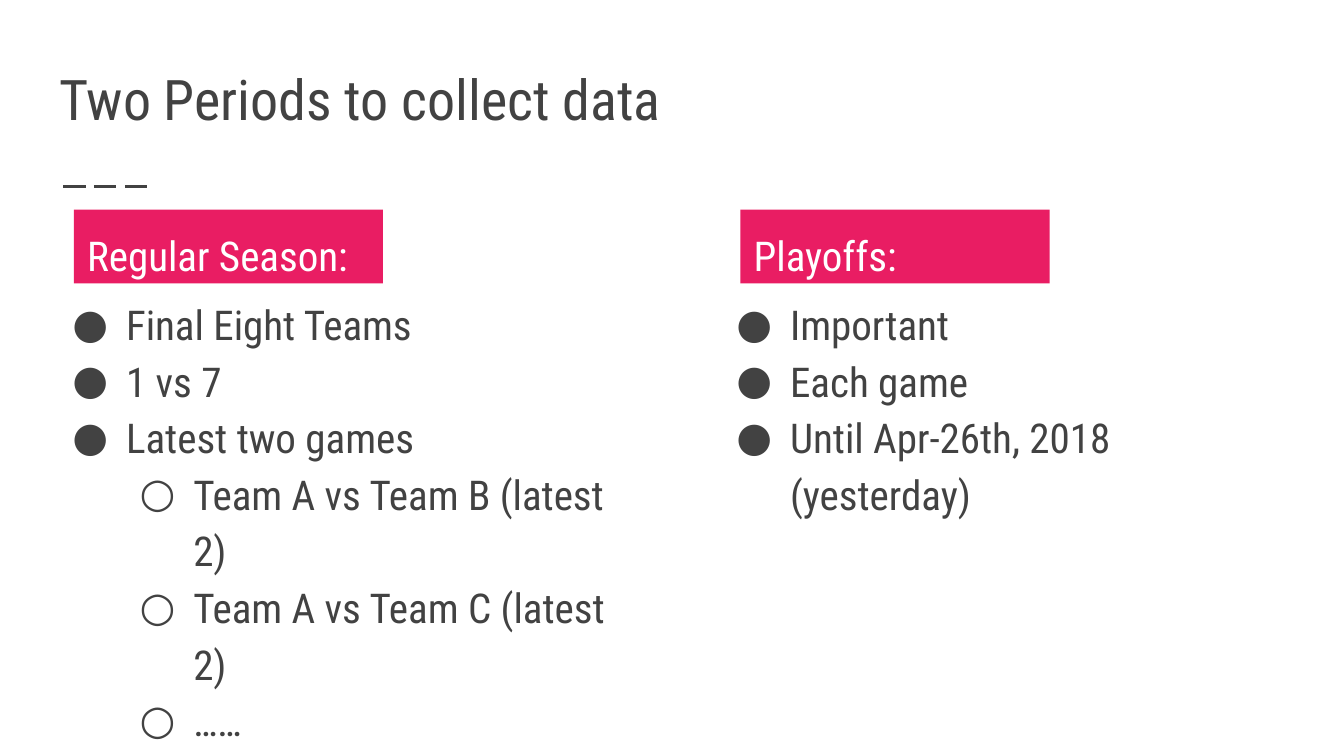
"""Build the slide on the two data collection periods."""
from dataclasses import dataclass

from lxml import etree
from pptx import Presentation
from pptx.dml.color import RGBColor
from pptx.enum.dml import MSO_LINE
from pptx.enum.shapes import MSO_CONNECTOR, MSO_SHAPE
from pptx.enum.text import MSO_ANCHOR, MSO_AUTO_SIZE, PP_ALIGN
from pptx.oxml.ns import qn
from pptx.slide import Slide
from pptx.util import Pt

RECTANGLE = MSO_SHAPE.RECTANGLE
STRAIGHT = MSO_CONNECTOR.STRAIGHT
LONG_DASH = MSO_LINE.LONG_DASH
TOP, BOTTOM = MSO_ANCHOR.TOP, MSO_ANCHOR.BOTTOM
LEFT = PP_ALIGN.LEFT
NO_FIT = MSO_AUTO_SIZE.NONE

FONT = "Roboto Condensed"
INK, PINK, WHITE = "424242", "E91D63", "FFFFFF"
INSET = 7.2
BODY_SIZE = 22
LINE_SPACING = 1.15
BULLETS = ("●", "○")


@dataclass(frozen=True)
class Item:
    text: str
    level: int = 0


@dataclass(frozen=True)
class Period:
    heading: str
    heading_left: float
    list_left: float
    items: tuple[Item, ...]


PERIODS = (
    Period("Regular Season:", 39.6, 24.5, (
        Item("Final Eight Teams"),
        Item("1 vs 7"),
        Item("Latest two games"),
        Item("Team A vs Team B (latest 2)", 1),
        Item("Team A vs Team C (latest 2)", 1),
        Item("……", 1),
    )),
    Period("Playoffs:", 396.7, 380.2, (
        Item("Important"),
        Item("Each game"),
        Item("Until Apr-26th, 2018 (yesterday)"),
    )),
)


def color(value: str) -> RGBColor:
    """Turn a hex string into a colour."""
    return RGBColor.from_string(value)


def set_frame(frame, anchor, top_inset: float = INSET) -> None:
    """Set the wrapping, anchor and insets of a text frame."""
    frame.word_wrap = True
    frame.auto_size = NO_FIT
    frame.vertical_anchor = anchor
    frame.margin_left = frame.margin_right = frame.margin_bottom = Pt(INSET)
    frame.margin_top = Pt(top_inset)


def add_text(paragraph, text: str, size: float, ink: str) -> None:
    """Add one left-aligned run to a paragraph."""
    paragraph.alignment = LEFT
    run = paragraph.add_run()
    run.text = text
    run.font.name = FONT
    run.font.size = Pt(size)
    run.font.color.rgb = color(ink)


def set_bullet(paragraph, level: int) -> None:
    """Give a paragraph the hanging bullet of its level."""
    paragraph.level = level
    properties = paragraph._p.get_or_add_pPr()
    properties.set("marL", str(Pt(36 * (level + 1))))
    properties.set("indent", str(-Pt(28.8)))
    bullet_color = etree.SubElement(properties, qn("a:buClr"))
    etree.SubElement(bullet_color, qn("a:srgbClr"), val=INK)
    etree.SubElement(properties, qn("a:buFont"), typeface=FONT)
    etree.SubElement(properties, qn("a:buChar"), char=BULLETS[level])


def add_title(slide: Slide, text: str) -> None:
    """Place and fill the title placeholder."""
    title = slide.shapes.title
    title.left, title.top = Pt(24.5), Pt(29.5)
    title.width, title.height = Pt(671), Pt(48.2)
    set_frame(title.text_frame, BOTTOM)
    add_text(title.text_frame.paragraphs[0], text, 30, INK)


def add_dashes(slide: Slide) -> None:
    """Draw the short dashed rule below the title."""
    rule = slide.shapes.add_connector(STRAIGHT, Pt(33.8), Pt(100.1), Pt(82.1), Pt(100.1))
    rule.line.color.rgb = color(INK)
    rule.line.width = Pt(1.5)
    rule.line.dash_style = LONG_DASH
    etree.SubElement(rule._element.spPr, qn("a:effectLst"))


def add_items(slide: Slide, period: Period) -> None:
    """Write the bulleted list of a period."""
    box = slide.shapes.add_textbox(Pt(period.list_left), Pt(103), Pt(314.6), Pt(244))
    frame = box.text_frame
    set_frame(frame, TOP, top_inset=53.5)
    for index, item in enumerate(period.items):
        paragraph = frame.add_paragraph() if index else frame.paragraphs[0]
        paragraph.line_spacing = LINE_SPACING
        set_bullet(paragraph, item.level)
        add_text(paragraph, item.text, BODY_SIZE, INK)


def add_heading(slide: Slide, period: Period) -> None:
    """Draw the filled heading of a period."""
    heading = slide.shapes.add_shape(
        RECTANGLE, Pt(period.heading_left), Pt(112.3), Pt(165.6), Pt(39.6))
    heading.shadow.inherit = False
    heading.fill.solid()
    heading.fill.fore_color.rgb = color(PINK)
    heading.line.fill.background()
    set_frame(heading.text_frame, TOP)
    paragraph = heading.text_frame.paragraphs[0]
    paragraph.line_spacing = LINE_SPACING
    add_text(paragraph, period.heading, BODY_SIZE, WHITE)


def main() -> None:
    """Build and save the presentation."""
    presentation = Presentation()
    presentation.slide_width, presentation.slide_height = Pt(720), Pt(405)
    slide = presentation.slides.add_slide(presentation.slide_layouts[5])
    add_title(slide, "Two Periods to collect data")
    add_dashes(slide)
    for period in PERIODS:
        add_items(slide, period)
        add_heading(slide, period)
    presentation.save("out.pptx")


if __name__ == "__main__":
    main()
